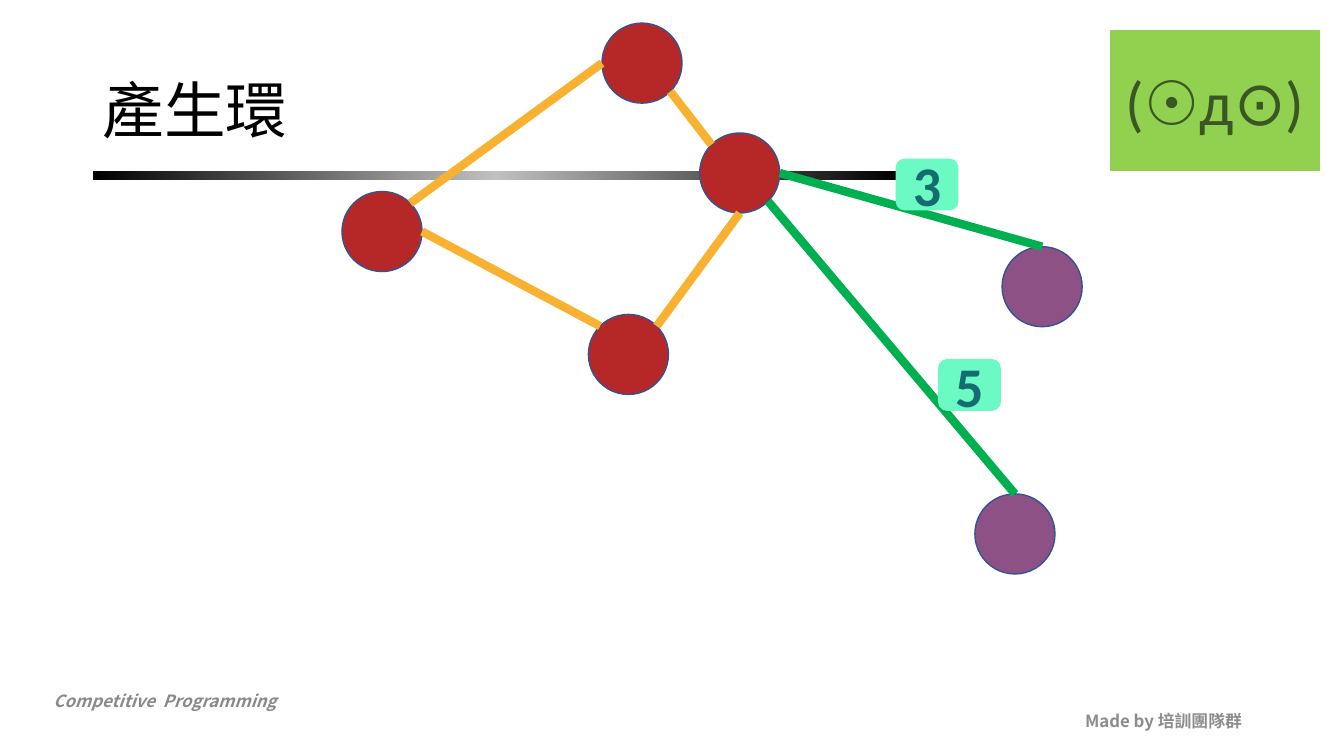
import copy
import math

import pptx
import pptx.dml.color
import pptx.enum.shapes
import pptx.enum.text
import pptx.oxml
import pptx.oxml.ns
import pptx.util

Pt = pptx.util.Pt
SHAPE = pptx.enum.shapes.MSO_SHAPE
ALIGN = pptx.enum.text.PP_ALIGN
ANCHOR = pptx.enum.text.MSO_ANCHOR

COLORS = {
    "black": "000000", "silver": "C0C0C0", "grey": "898989", "pale_grey": "8C8C8C",
    "cycle": "B62828", "outside": "8D5186", "outline": "325491",
    "cycle_edge": "F8B130", "weighted_edge": "00B050",
    "weight_box": "6CFAC4", "weight": "146C6E", "face_box": "92D050", "face": "385723",
}
NOTO, CALIBRI = "Noto Sans CJK SC", "Calibri"

# Content: text, box (left, top, width, height), font, alignment, anchor, line spacing
TEXTS = [
    ("Competitive  Programming", (31, 489.6, 306, 21.6),
     {"size": Pt(12), "name": NOTO, "bold": True, "italic": True}, "grey",
     ALIGN.LEFT, ANCHOR.TOP, 1),
    ("Made by 培訓團隊群", (678.2, 500.4, 216, 28.8),
     {"size": Pt(12), "name": NOTO, "bold": True}, "pale_grey",
     ALIGN.RIGHT, ANCHOR.MIDDLE, 1),
    ("產生環", (66.2, 28.8, 828, 104.4),
     {"size": Pt(44), "name": NOTO}, "black", ALIGN.LEFT, ANCHOR.MIDDLE, 0.9),
]
RULE_BOX = (66.2, 122.4, 576, 6.5)
RULE_STOPS = [(0, "black"), (0.5, "silver"), (1, "black")]

# Graph: node name -> (left, top, color); edges join rim points by direction
DIAMETER = 57.2
NODES = {
    "west": (244.3, 136.8, "cycle"),
    "north": (430, 16.5, "cycle"),
    "hub": (499.8, 95, "cycle"),
    "south": (420.3, 224.6, "cycle"),
    "upper": (715.8, 176.2, "outside"),
    "lower": (696.4, 352.8, "outside"),
}
DIRECTIONS = {"E": 0, "SE": 45, "S": 90, "W": 180, "NW": 225, "N": 270, "NE": 315}
EDGES = [
    ("west", "NE", "north", "W", "cycle_edge"),
    ("hub", "NW", "north", "SE", "cycle_edge"),
    ("south", "NW", "west", "E", "cycle_edge"),
    ("hub", "S", "south", "NE", "cycle_edge"),
    ("hub", "E", "upper", "N", "weighted_edge"),
    ("hub", "SE", "lower", "N", "weighted_edge"),
]
WEIGHT_FONT = {"size": Pt(40), "name": CALIBRI, "bold": True}
BADGES = [
    ("3", (640.2, 113.8, 43.9, 36), SHAPE.ROUNDED_RECTANGLE, "weight_box", WEIGHT_FONT, "weight"),
    ("5", (670.5, 257, 43.9, 36), SHAPE.ROUNDED_RECTANGLE, "weight_box", WEIGHT_FONT, "weight"),
    ("(☉д⊙)", (793.6, 22.2, 149, 99.4), SHAPE.RECTANGLE, "face_box",
     {"size": Pt(44), "name": CALIBRI}, "face"),
]


def rgb(color):
    return pptx.dml.color.RGBColor.from_string(COLORS[color])


def points(values):
    return [Pt(value) for value in values]


def write(shape, text, font, color, align, anchor, spacing=1):
    frame = shape.text_frame
    frame.word_wrap = True
    frame.vertical_anchor = anchor
    paragraph = frame.paragraphs[0]
    paragraph.alignment = align
    paragraph.line_spacing = spacing
    run = paragraph.add_run()
    run.text = text
    for attribute, value in font.items():
        setattr(run.font, attribute, value)
    run.font.color.rgb = rgb(color)
    if font["name"] == NOTO:
        east_asian = pptx.oxml.parse_xml(
            f'<a:ea {pptx.oxml.ns.nsdecls("a")} typeface="{NOTO}"/>')
        run.font._element.append(east_asian)


def add_filled(slide, kind, box, fill, line):
    shape = slide.shapes.add_shape(kind, *points(box))
    shape.shadow.inherit = False
    shape.fill.solid()
    shape.fill.fore_color.rgb = rgb(fill)
    shape.line.color.rgb = rgb(line)
    shape.line.width = Pt(1)
    return shape


def add_rule(slide):
    rule = slide.shapes.add_shape(SHAPE.RECTANGLE, *points(RULE_BOX))
    rule.shadow.inherit = False
    rule.line.fill.background()
    rule.fill.gradient()
    rule.fill.gradient_angle = 0
    stop_list = rule._element.xpath(".//a:gsLst")[0]
    stop_list.append(copy.deepcopy(stop_list[0]))
    for stop, (position, color) in zip(rule.fill.gradient_stops, RULE_STOPS):
        stop.position = position
        stop.color.rgb = rgb(color)


def rim_point(node, direction):
    left, top, _ = NODES[node]
    angle = math.radians(DIRECTIONS[direction])
    radius = DIAMETER / 2
    return (left + radius * (1 + math.cos(angle)), top + radius * (1 + math.sin(angle)))


def add_edge(slide, start, start_side, end, end_side, color):
    ends = rim_point(start, start_side) + rim_point(end, end_side)
    edge = slide.shapes.add_connector(
        pptx.enum.shapes.MSO_CONNECTOR.STRAIGHT, *points(ends))
    edge.line.color.rgb = rgb(color)
    edge.line.width = Pt(6)
    edge._element.spPr.append(
        pptx.oxml.parse_xml(f'<a:effectLst {pptx.oxml.ns.nsdecls("a")}/>'))


def main():
    deck = pptx.Presentation()
    deck.slide_width, deck.slide_height = Pt(960), Pt(540)
    slide = deck.slides.add_slide(deck.slide_layouts[6])

    # Title, footers and the rule under the title
    add_rule(slide)
    for text, box, *style in TEXTS:
        write(slide.shapes.add_textbox(*points(box)), text, *style)

    # Graph
    for left, top, color in NODES.values():
        add_filled(slide, SHAPE.OVAL, (left, top, DIAMETER, DIAMETER), color, "outline")
    for edge in EDGES:
        add_edge(slide, *edge)

    # Edge weights and the face
    for text, box, kind, fill, font, color in BADGES:
        badge = add_filled(slide, kind, box, fill, fill)
        write(badge, text, font, color, ALIGN.CENTER, ANCHOR.MIDDLE)

    deck.save("out.pptx")


if __name__ == "__main__":
    main()
